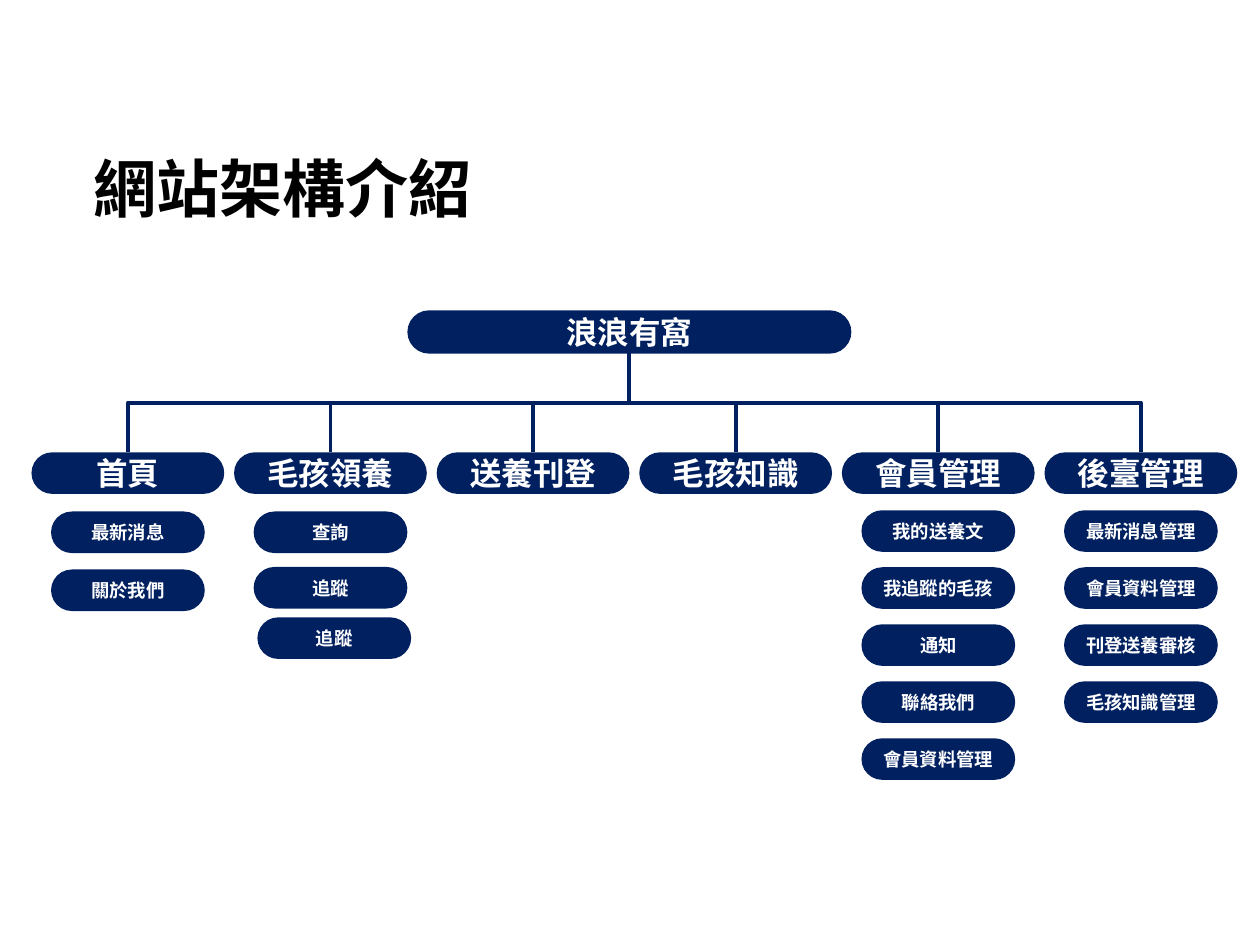
from lxml import etree
from pptx import Presentation
from pptx.dml.color import RGBColor
from pptx.enum.shapes import MSO_CONNECTOR, MSO_SHAPE
from pptx.enum.text import MSO_ANCHOR, PP_ALIGN
from pptx.oxml.ns import qn
from pptx.util import Inches, Pt

FONT = "Noto Sans CJK SC"
NAVY, WHITE, BLACK = "002060", "FFFFFF", "000000"

PILL_H = 0.33
SECTION_LEFT, SECTION_TOP, SECTION_W = 0.25, 3.59, 1.53
SECTION_STEP = (8.29 - SECTION_LEFT) / 5
PAGE_W = 1.22

# Section name, then its pages as (name, top, shift to the right)
EVEN_TOPS = [4.05 + i * (5.86 - 4.05) / 4 for i in range(5)]


def evenly(*names):
    return [(name, top, 0) for name, top in zip(names, EVEN_TOPS)]


SECTIONS = [
    ("首頁", [("最新消息", 4.06, 0), ("關於我們", 4.52, 0)]),
    ("毛孩領養", [("查詢", 4.06, 0), ("追蹤", 4.5, 0), ("追蹤", 4.9, 0.03)]),
    ("送養刊登", []),
    ("毛孩知識", []),
    ("會員管理", evenly("我的送養文", "我追蹤的毛孩", "通知", "聯絡我們", "會員資料管理")),
    ("後臺管理", evenly("最新消息管理", "會員資料管理", "刊登送養審核", "毛孩知識管理")),
]


def rgb(value):
    return RGBColor.from_string(value)


def write(tf, text, size, color):
    tf.text = text
    r = tf.paragraphs[0].runs[0]
    r.font.name, r.font.size, r.font.bold = FONT, Pt(size), True
    r.font.color.rgb = rgb(color)
    ea = etree.SubElement(r.font._element, qn("a:ea"))
    ea.set("typeface", FONT)


def add_title(slide, left, top, width, height):
    box = slide.shapes.add_textbox(*map(Inches, (left, top, width, height)))
    box.text_frame.word_wrap = True
    write(box.text_frame, "網站架構介紹", 36, BLACK)


def add_pill(slide, text, left, top, width, size):
    sp = slide.shapes.add_shape(
        MSO_SHAPE.ROUNDED_RECTANGLE, *map(Inches, (left, top, width, PILL_H)))
    sp.adjustments[0] = 0.5
    sp.shadow.inherit = False
    sp.fill.solid()
    sp.fill.fore_color.rgb = rgb(NAVY)
    sp.line.fill.background()
    tf = sp.text_frame
    tf.word_wrap = True
    tf.vertical_anchor = MSO_ANCHOR.MIDDLE
    write(tf, text, size, WHITE)
    tf.paragraphs[0].alignment = PP_ALIGN.CENTER
    return sp


def add_branch(slide, parent, child):
    """Elbow from the parent's bottom to the child's top, turned to leave downwards."""
    c = slide.shapes.add_connector(MSO_CONNECTOR.ELBOW, 0, 0, 0, 0)
    c.begin_connect(parent, 2)
    c.end_connect(child, 0)
    x1, y1 = parent.left + parent.width // 2, parent.top + parent.height
    x2, y2 = child.left + child.width // 2, child.top
    c.width, c.height = y2 - y1, abs(x2 - x1)
    c.left = (x1 + x2 - c.width) // 2
    c.top = (y1 + y2 - c.height) // 2
    to_right = x2 > x1
    xfrm = c._element.spPr.xfrm
    xfrm.rot = 270 if to_right else 90
    xfrm.flipH, xfrm.flipV = to_right, False
    c.line.color.rgb = rgb(NAVY)
    c.line.width = Pt(2.25)
    etree.SubElement(c._element.spPr, qn("a:effectLst"))


def add_site_map(slide, root_left, root_top, root_width):
    root = add_pill(slide, "浪浪有窩", root_left, root_top, root_width, 18)
    root.line.color.rgb = rgb(NAVY)
    root.line.width = Pt(1)
    for i, (name, pages) in enumerate(SECTIONS):
        left = SECTION_LEFT + i * SECTION_STEP
        section = add_pill(slide, name, left, SECTION_TOP, SECTION_W, 18)
        add_branch(slide, root, section)
        page_left = left + (SECTION_W - PAGE_W) / 2
        for page, top, shift in pages:
            add_pill(slide, page, page_left + shift, top, PAGE_W, 10.5)


def main():
    prs = Presentation()
    prs.slide_width, prs.slide_height = Inches(10), Inches(7.5)
    slide = prs.slides.add_slide(prs.slide_layouts[6])
    add_title(slide, 0.64, 1.14, 9.36, 0.71)
    add_site_map(slide, 3.24, 2.47, 3.51)
    prs.save("out.pptx")


if __name__ == "__main__":
    main()
